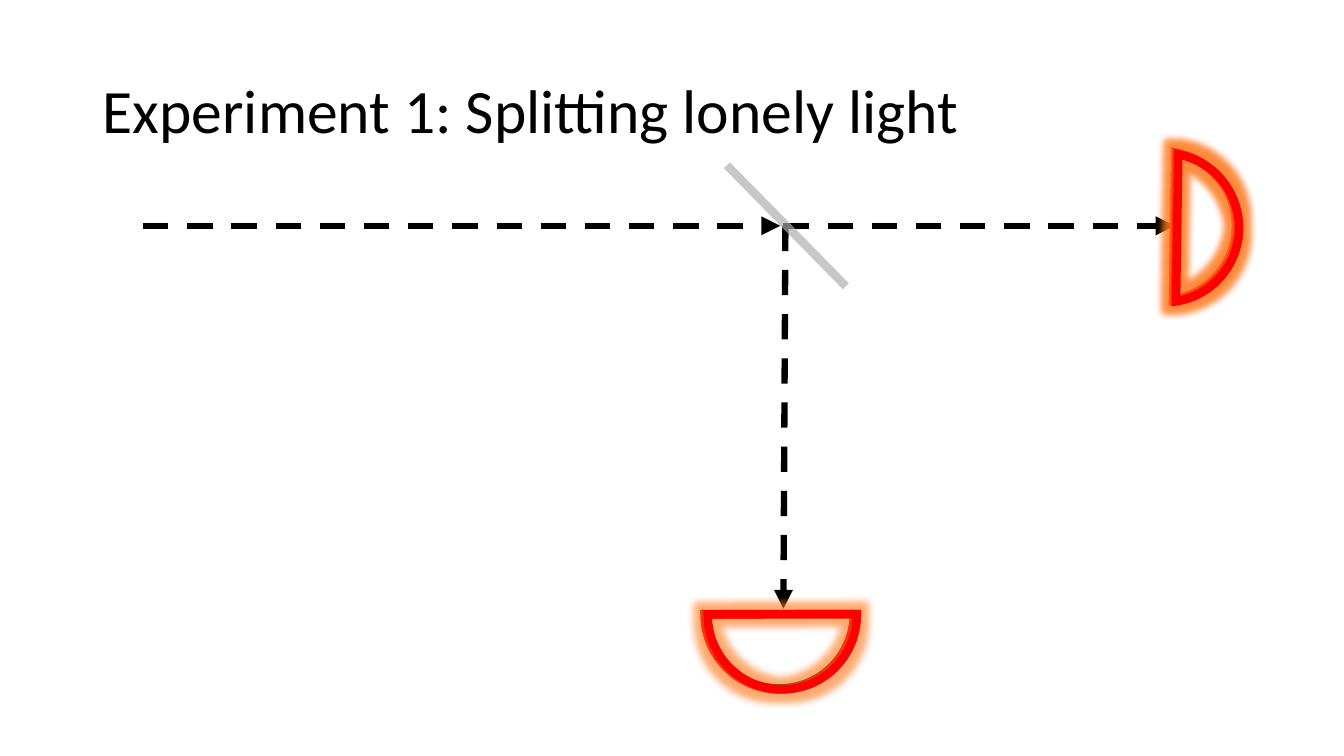
import dataclasses

import pptx
import pptx.dml.color
import pptx.enum.dml
import pptx.enum.shapes
import pptx.enum.text
import pptx.oxml
import pptx.oxml.ns
import pptx.util

WIDE = pptx.util.Inches(13.33)
HIGH = pptx.util.Inches(7.5)
BLACK, RED, GREY, GLOW = "000000", "FF0000", "AFABAB", "FF7A1F"
BEAM_Y = 29.87
DOWN, RIGHT = (215.612, 108.214), (168.411, 48.651)


@dataclasses.dataclass
class Ray:
    """Ends in percent of the slide's width and height."""
    x1: float
    y1: float
    x2: float
    y2: float


@dataclasses.dataclass
class Bowl:
    """A half-round detector; left and top in percent of the slide."""
    left: float
    top: float
    turn: tuple[float, float]
    color: str = RED
    lit: bool = True


RAYS = [
    Ray(10.65, BEAM_Y, 58.06, BEAM_Y),
    Ray(58.29, BEAM_Y, 87.4, BEAM_Y),
    Ray(58.44, BEAM_Y, 58.29, 80.53),
]
MIRROR = Ray(54.09, 21.87, 62.94, 37.87)
BASE = Bowl(52.44, 71.33, (0.179, 107.868), BLACK, False)
BOWLS = [
    Bowl(80.87, 20, RIGHT, BLACK, False),
    Bowl(80.87, 20, RIGHT),
    Bowl(52.44, 71.47, DOWN),
    Bowl(80.95, 20.13, RIGHT),
    Bowl(52.66, 71.47, DOWN),
    Bowl(81.02, 20.13, RIGHT),
    Bowl(81.1, 20.27, RIGHT),
]


def across(share: float) -> int:
    return round(WIDE * share / 100)


def down(share: float) -> int:
    return round(HIGH * share / 100)


def paint(fill, color: str) -> None:
    fill.solid()
    fill.fore_color.rgb = pptx.dml.color.RGBColor.from_string(color)


def add_xml(parent, xml: str):
    """Append a drawing element, given without its namespace, to parent."""
    space = pptx.oxml.ns.nsdecls("a")
    head, rest = xml.split(" ", 1)
    part = pptx.oxml.parse_xml(f"{head} {space} {rest}")
    parent.append(part)
    return part


def add_line(slide, ray: Ray, color: str, points: float):
    line = slide.shapes.add_connector(
        pptx.enum.shapes.MSO_CONNECTOR.STRAIGHT,
        across(ray.x1), down(ray.y1), across(ray.x2), down(ray.y2))
    paint(line.line.fill, color)
    line.line.width = pptx.util.Pt(points)
    add_xml(line._element.spPr, "<a:effectLst />")
    return line


def add_ray(slide, ray: Ray) -> None:
    line = add_line(slide, ray, BLACK, 4.5).line
    line.dash_style = pptx.enum.dml.MSO_LINE.DASH
    add_xml(line._get_or_add_ln(), '<a:tailEnd type="triangle"/>')


def add_mirror(slide) -> None:
    line = add_line(slide, MIRROR, GREY, 6).line
    tint = line._get_or_add_ln().find(".//" + pptx.oxml.ns.qn("a:srgbClr"))
    add_xml(tint, '<a:alpha val="67000"/>')


def add_bowl(slide, bowl: Bowl) -> None:
    shape = slide.shapes.add_shape(
        pptx.enum.shapes.MSO_SHAPE.CHORD,
        across(bowl.left), down(bowl.top), across(11.1), down(19.73))
    for index, value in enumerate(bowl.turn):
        shape.adjustments[index] = value
    shape.fill.background()
    paint(shape.line.fill, bowl.color)
    shape.line.width = pptx.util.Pt(6)
    add_xml(shape.line._get_or_add_ln(), '<a:miter lim="800000"/>')
    shape.shadow.inherit = False
    if bowl.lit:
        effects = shape._element.spPr.find(pptx.oxml.ns.qn("a:effectLst"))
        add_xml(effects, f'<a:glow rad="139700"><a:srgbClr val="{GLOW}">'
                '<a:alpha val="40000"/></a:srgbClr></a:glow>')


def set_title(slide, text: str) -> None:
    title = slide.shapes.title
    title.left, title.top = across(6.9), down(5.33)
    title.width, title.height = across(86.27), down(19.33)
    frame = title.text_frame
    frame.text = text
    frame.vertical_anchor = pptx.enum.text.MSO_ANCHOR.MIDDLE
    line = frame.paragraphs[0]
    line.alignment = pptx.enum.text.PP_ALIGN.LEFT
    line.line_spacing = 0.9
    line.font.name = "Calibri"
    line.font.size = pptx.util.Pt(44)
    paint(line.font.fill, BLACK)


def main() -> None:
    deck = pptx.Presentation()
    deck.slide_width, deck.slide_height = WIDE, HIGH
    slide = deck.slides.add_slide(deck.slide_layouts[5])
    set_title(slide, "Experiment 1: Splitting lonely light")
    for ray in RAYS:
        add_ray(slide, ray)
    add_bowl(slide, BASE)
    add_mirror(slide)
    for bowl in BOWLS:
        add_bowl(slide, bowl)
    deck.save("out.pptx")


if __name__ == "__main__":
    main()
